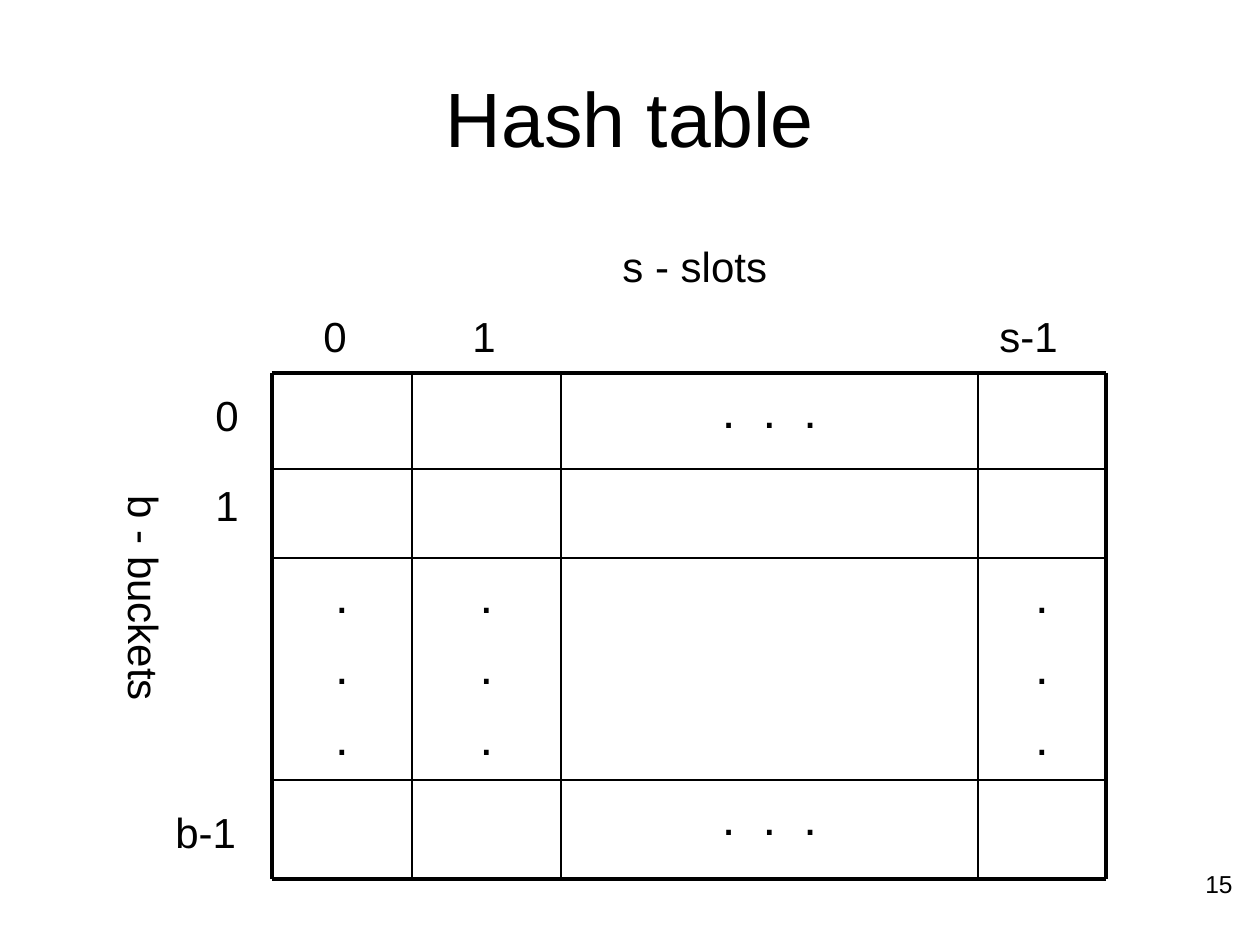
from typing import NamedTuple

from lxml import etree
from pptx import Presentation
from pptx.dml.color import RGBColor
from pptx.enum import shapes, text
from pptx.oxml import ns
from pptx import util as u

PX = 914400 / 126
BLACK = RGBColor(0, 0, 0)
WHITE = RGBColor(255, 255, 255)
FONT = "Arial"

# Paragraph formats
TITLE = {"alignment": text.PP_ALIGN.CENTER}
DOTS = {"alignment": text.PP_ALIGN.CENTER, "space_before": u.Pt(7)}
LABEL = {"alignment": text.PP_ALIGN.LEFT, "space_before": u.Pt(15), "line_spacing": 0.81}
PAGE = {"alignment": text.PP_ALIGN.RIGHT}

# Grid edges
COLUMNS = [272, 412, 561, 978, 1106]
ROWS = [373, 469, 558, 780, 879]
LABEL_HEIGHT = 54


class Label(NamedTuple):
    words: str
    left: int
    top: int
    width: int
    rotation: int = 0


LABELS = [
    Label("b - buckets", 11, 585, 258, 90),
    Label("0", 203, 393, 49),
    Label("1", 203, 483, 49),
    Label("b-1", 163, 810, 110),
    Label("0", 311, 314, 49),
    Label("1", 460, 314, 49),
    Label("s-1", 987, 314, 110),
    Label("s - slots", 610, 244, 208),
]


def px(length: int) -> int:
    return round(length * PX)


def add_text(slide, lines: list[str], box: tuple[int, int, int, int], size: int,
             paragraph_format: dict, anchor=text.MSO_ANCHOR.TOP,
             auto_size=text.MSO_AUTO_SIZE.NONE, rotation: int = 0) -> None:
    holder = slide.shapes.add_textbox(*map(px, box))
    holder.rotation = rotation
    frame = holder.text_frame
    frame.word_wrap = True
    frame.auto_size = auto_size
    frame.vertical_anchor = anchor
    frame.text = "\n".join(lines)
    for paragraph in frame.paragraphs:
        for name, value in paragraph_format.items():
            setattr(paragraph, name, value)
        font = paragraph.runs[0].font
        font.name, font.size = FONT, u.Pt(size)
        font.color.rgb = BLACK


def add_rule(slide, start: tuple[int, int], end: tuple[int, int], weight: float) -> None:
    rule = slide.shapes.add_connector(
        shapes.MSO_CONNECTOR.STRAIGHT, *map(px, start + end))
    rule.line.color.rgb = BLACK
    rule.line.width = u.Pt(weight)
    etree.SubElement(rule._element.spPr, ns.qn("a:effectLst"))


def add_dots(slide, column: int, row: int, lines: list[str]) -> None:
    left, top = COLUMNS[column], ROWS[row]
    box = (left, top, COLUMNS[column + 1] - left, ROWS[row + 1] - top)
    add_text(slide, lines, box, 28, DOTS)


def edge_weight(edge: int, edges: list[int]) -> float:
    return 2.25 if edge in (edges[0], edges[-1]) else 1


def main() -> None:
    deck = Presentation()
    deck.slide_width, deck.slide_height = u.Inches(10), u.Inches(7.5)
    slide = deck.slides.add_slide(deck.slide_layouts[6])
    slide.background.fill.solid()
    slide.background.fill.fore_color.rgb = WHITE

    # Title
    add_text(slide, ["Hash table"], (63, 38, 1134, 158), 44, TITLE,
             anchor=text.MSO_ANCHOR.MIDDLE)

    # Omitted slots and buckets
    for row in (0, 3):
        add_dots(slide, 2, row, [".  .  ."])
    for column in (0, 1, 3):
        add_dots(slide, column, 2, ["."] * 3)

    # Grid rules, heavier on the outside
    for y in ROWS:
        add_rule(slide, (COLUMNS[0], y), (COLUMNS[-1], y), edge_weight(y, ROWS))
    for x in COLUMNS:
        add_rule(slide, (x, ROWS[0]), (x, ROWS[-1]), edge_weight(x, COLUMNS))

    # Bucket and slot labels
    for label in LABELS:
        add_text(slide, [label.words], (label.left, label.top, label.width, LABEL_HEIGHT),
                 24, LABEL, auto_size=text.MSO_AUTO_SIZE.SHAPE_TO_FIT_TEXT,
                 rotation=label.rotation)

    # Page number
    add_text(slide, ["15"], (951, 863, 294, 66), 14, PAGE)

    deck.save("out.pptx")


if __name__ == "__main__":
    main()
